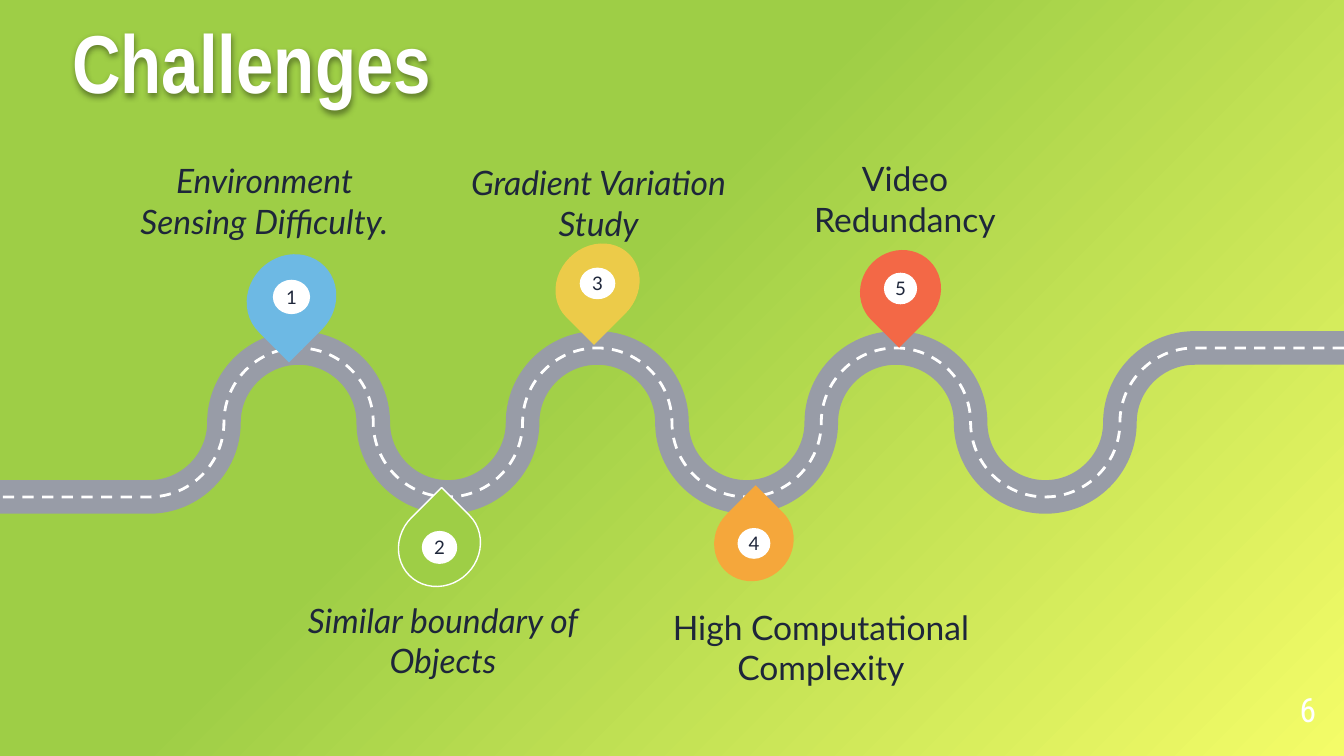
import itertools
from dataclasses import dataclass

import lxml.etree
import pptx
import pptx.dml.color
import pptx.enum.dml
import pptx.enum.shapes
import pptx.enum.text
import pptx.oxml
import pptx.oxml.ns
import pptx.util

SCALE = 914400 / 134.4  # EMU in one px
WIDE, HIGH = 1344, 756
KIND = pptx.enum.shapes.MSO_SHAPE
ALIGN = pptx.enum.text.PP_ALIGN
ANCHOR = pptx.enum.text.MSO_ANCHOR
NS = 'xmlns:a="http://schemas.openxmlformats.org/drawingml/2006/main"'


@dataclass(frozen=True)
class Theme:
    ink: str = "1E263A"
    white: str = "FFFFFF"
    green: str = "9ECE46"
    lemon: str = "F4FC68"
    road: str = "989CA7"
    blue: str = "6DB9E4"
    gold: str = "ECCB49"
    red: str = "F36846"
    orange: str = "F5A73B"
    head: str = "Arial Narrow"
    body: str = "Lato"
    page: str = "Roboto Condensed"
    big: int = 44
    mid: int = 18
    small: int = 10


THEME = Theme()


def emu(px):
    return round(px * SCALE)


def rgb(code):
    return pptx.dml.color.RGBColor.from_string(code)


def write(shape, text, font=THEME.body, size=THEME.mid, color=THEME.ink,
          bold=False, italic=False, align=ALIGN.CENTER,
          anchor=ANCHOR.BOTTOM, space=None):
    frame = shape.text_frame
    frame.word_wrap = True
    frame.vertical_anchor = anchor
    frame.margin_left = frame.margin_right = 0
    frame.margin_top = frame.margin_bottom = 0
    para = frame.paragraphs[0]
    para.alignment = align
    if space:
        para.line_spacing = space
    run = para.add_run()
    run.text = text
    run.font.name = font
    run.font.size = pptx.util.Pt(size)
    run.font.bold = bold
    run.font.italic = italic
    run.font.color.rgb = rgb(color)


def label(slide, box, text, **form):
    shape = slide.shapes.add_textbox(*map(emu, box))
    write(shape, text, **form)
    return shape


def blob(group, kind, box, fill, edge=None):
    shape = group.shapes.add_shape(kind, *map(emu, box))
    shape.shadow.inherit = False
    shape.fill.solid()
    shape.fill.fore_color.rgb = rgb(fill)
    if edge:
        shape.line.color.rgb = rgb(edge)
        shape.line.width = pptx.util.Pt(0.75)
    else:
        shape.line.fill.background()
    return shape


def backdrop(slide):
    # Radial glow from the bottom right corner
    slide.background.fill.gradient()
    grad = next(slide.element.iter(pptx.oxml.ns.qn("a:gradFill")))
    stops = ((0, THEME.lemon), (58, THEME.green), (100, THEME.green))
    marks = "".join(f'<a:gs pos="{at * 1000}"><a:srgbClr val="{code}"/></a:gs>'
                    for at, code in stops)
    new = pptx.oxml.parse_xml(
        f'<a:gradFill {NS} rotWithShape="1"><a:gsLst>{marks}</a:gsLst>'
        '<a:path path="circle"><a:fillToRect l="100000" t="100000"/></a:path>'
        '<a:tileRect r="-100000" b="-100000"/></a:gradFill>')
    grad.getparent().replace(grad, new)


def title(slide, box, text):
    shape = label(slide, box, text, font=THEME.head, size=THEME.big,
                  color=THEME.white, bold=True, align=ALIGN.LEFT, space=0.9)
    # Soft shadow under the letters
    shape.element.spPr.append(pptx.oxml.parse_xml(
        f'<a:effectLst {NS}><a:outerShdw blurRad="38100" dist="19050" '
        'dir="5400000" algn="t"><a:srgbClr val="000000">'
        '<a:alpha val="40000"/></a:srgbClr></a:outerShdw></a:effectLst>'))


def curve(shape, count, pull=0.55):
    # Turn the straight runs after the first into quarter arcs
    qn = pptx.oxml.ns.qn
    dots = list(shape.element.iter(qn("a:pt")))
    spots = [(int(dot.get("x")), int(dot.get("y"))) for dot in dots]
    for turn in range(count):
        (ax, ay), (bx, by) = spots[turn + 1:turn + 3]
        dx, dy = pull * (bx - ax), pull * (by - ay)
        if turn % 2 == 0:
            grips = (ax + dx, ay), (bx, by - dy)
        else:
            grips = (ax, ay + dy), (bx - dx, by)
        line = dots[turn + 2].getparent()
        bend = lxml.etree.Element(qn("a:cubicBezTo"))
        for x, y in (*grips, (bx, by)):
            lxml.etree.SubElement(bend, qn("a:pt"), x=str(round(x)), y=str(round(y)))
        line.getparent().replace(line, bend)


def road(slide, box):
    # Quarter arcs on a nine-column grid, from right to left
    left, top, wide, high = box
    rad = wide / 18
    count = 14
    rows = itertools.cycle((top, top + high / 2, top + high, top + high / 2))
    bends = [(left + (16 - turn) * rad, next(rows)) for turn in range(count + 1)]
    spots = [(left + wide, top), *bends, (left, top + high)]
    spots = [(emu(x), emu(y)) for x, y in spots]

    # Wide paving, then the dashed centre line
    dash = pptx.enum.dml.MSO_LINE.DASH
    for color, width, style in ((THEME.road, 18, None), (THEME.white, 1.5, dash)):
        path = slide.shapes.build_freeform(*spots[0])
        path.add_line_segments(spots[1:], close=False)
        shape = path.convert_to_shape()
        curve(shape, count)
        shape.shadow.inherit = False
        shape.fill.background()
        shape.line.color.rgb = rgb(color)
        shape.line.width = pptx.util.Pt(width)
        shape.line.dash_style = style


def step(slide, box, num, fill, text, area, down=False, edge=None, italic=False):
    left, top, wide, high = box
    group = slide.shapes.add_group_shape()
    # Pin
    pin = blob(group, KIND.TEAR, box, fill, edge)
    pin.rotation = 315 if down else 135
    # Numbered dot
    shift = 2 if down else -2
    dot = blob(group, KIND.OVAL,
               (left + wide * 0.3, top + high * 0.3 + shift, wide * 0.4, high * 0.4),
               THEME.white, edge)
    write(dot, num, size=THEME.small, anchor=ANCHOR.MIDDLE)
    # Label, placed from the pin's corner
    right, below, *size = area
    label(slide, (left + right, top + below, *size), text, italic=italic,
          anchor=ANCHOR.TOP if down else ANCHOR.BOTTOM)


def main():
    deck = pptx.Presentation()
    deck.slide_width, deck.slide_height = emu(WIDE), emu(HIGH)
    slide = deck.slides.add_slide(deck.slide_layouts[6])

    backdrop(slide)
    title(slide, (72, 21, 1116, 90), "Challenges")
    label(slide, (1235, 683, 81, 47), "6", font=THEME.page, color=THEME.white,
          align=ALIGN.RIGHT, space=0.9)
    road(slide, (0, 348, WIDE, 149))

    # Steps above the road
    step(slide, (245, 256, 93, 86), "1", THEME.blue,
         "Environment Sensing Difficulty.", (-117, -102, 273, 87), italic=True)
    step(slide, (553, 246, 89, 79), "3", THEME.gold,
         "Gradient Variation Study", (-91, -81, 273, 78), italic=True)
    step(slide, (859, 251, 83, 79), "5", THEME.red,
         "Video Redundancy", (-49, -90, 190, 78))
    # Steps below the road
    step(slide, (713, 503, 82, 77), "4", THEME.orange,
         "High Computational Complexity", (-41, 104, 298, 78), down=True)
    step(slide, (397, 506, 85, 79), "2", THEME.green,
         "Similar boundary of Objects", (-91, 94, 274, 113),
         down=True, edge=THEME.white, italic=True)

    deck.save("out.pptx")


if __name__ == "__main__":
    main()
